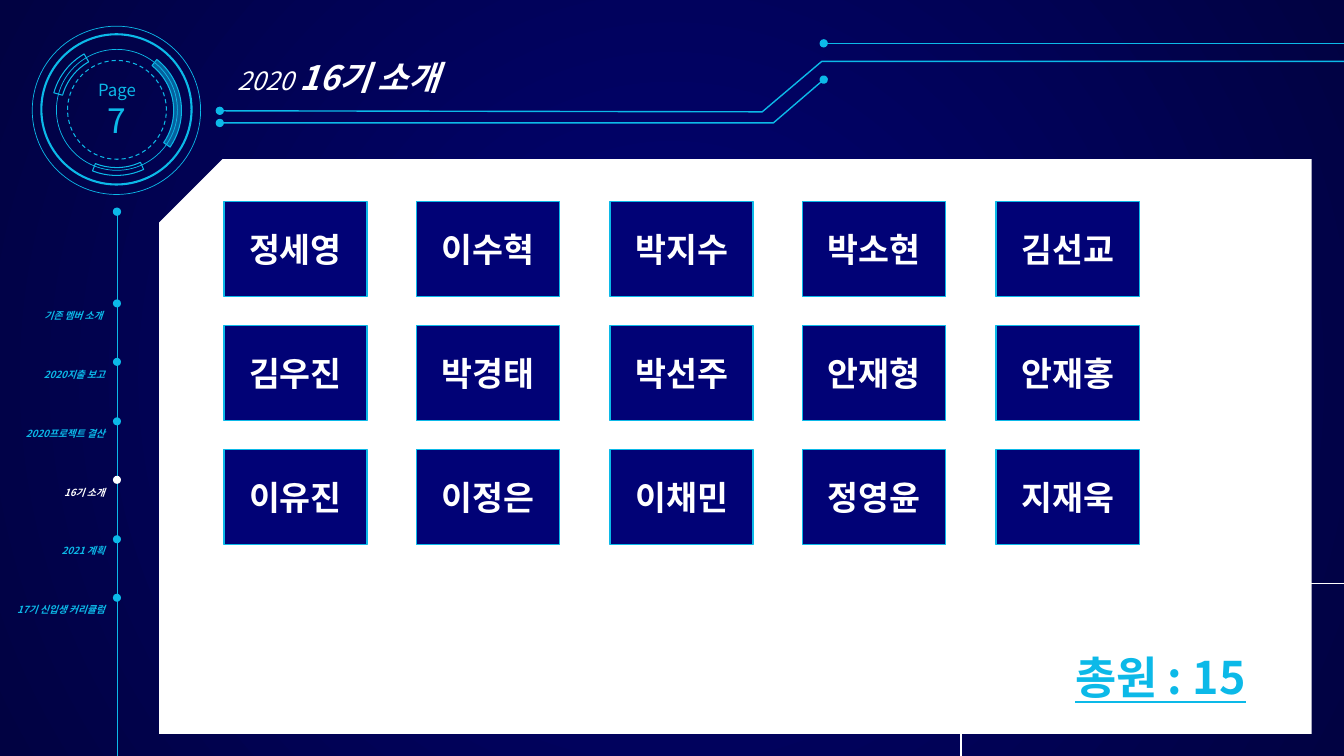
from dataclasses import dataclass
from typing import Any, NamedTuple, Optional

from lxml.etree import SubElement
from pptx import Presentation
from pptx.dml.color import RGBColor
from pptx.enum.dml import MSO_LINE
from pptx.enum.shapes import MSO_CONNECTOR, MSO_SHAPE
from pptx.enum.text import MSO_ANCHOR, MSO_AUTO_SIZE, PP_ALIGN
from pptx.oxml.ns import qn
from pptx.util import Emu, Pt

SCALE = 9144
OVAL, ARC = MSO_SHAPE.OVAL, MSO_SHAPE.BLOCK_ARC
RECT, SNIP = MSO_SHAPE.RECTANGLE, MSO_SHAPE.SNIP_1_RECTANGLE
STRAIGHT, DASH = MSO_CONNECTOR.STRAIGHT, MSO_LINE.DASH
TOP, MIDDLE = MSO_ANCHOR.TOP, MSO_ANCHOR.MIDDLE
FIXED = MSO_AUTO_SIZE.NONE
LEFT, CENTER, RIGHT = PP_ALIGN.LEFT, PP_ALIGN.CENTER, PP_ALIGN.RIGHT


@dataclass(frozen=True)
class Theme:
    face: str = "Noto Sans CJK KR"
    navy: str = "010276"
    night: str = "010242"
    cyan: str = "0CB9E8"
    white: str = "FFFFFF"
    menu: int = 7
    page: int = 12
    year: int = 18
    name: int = 24
    total: int = 32


class Box(NamedTuple):
    left: int
    top: int
    width: int
    height: int


class Part(NamedTuple):
    kind: Any
    box: Box
    line: Optional[float] = None
    fill: Optional[str] = None
    edge: str = Theme.cyan
    adjust: tuple[float, ...] = ()


class Trace(NamedTuple):
    points: list[tuple[int, int]]
    ends: tuple[str, ...]


THEME = Theme()
ARCS = Box(51, 45, 129, 129)
DIAL = [
    Part(OVAL, Box(41, 34, 149, 149), 1.5),
    Part(OVAL, Box(56, 49, 120, 120), 0.5),
    Part(ARC, ARCS, 0.75, THEME.cyan, adjust=(185.07, 20.62, 0.06)),
    Part(ARC, ARCS, 0.75, adjust=(117.42, 144.14, 0.07)),
    Part(ARC, ARCS, 0.75, adjust=(39.14, 66.95, 0.06)),
    Part(OVAL, Box(67, 60, 98, 98), 0.75),
    Part(OVAL, Box(32, 26, 167, 167), 0.5),
]
FILLED, CORE = 2, 5
TRACES = [
    Trace([(218, 122), (767, 122), (817, 79)], ("headEnd", "tailEnd")),
    Trace([(218, 110), (756, 111), (815, 61), (1336, 61)], ("headEnd",)),
]
RAILS = [((817, 43), (1333, 43)), ((116, 210), (116, 750))]
MENU = ["기존 멤버 소개 ", "2020지출 보고", "2020프로젝트 결산",
        "16기 소개", "2021 계획", "17기 신입생 커리큘럼"]
ACTIVE = 3
NAMES = [
    ["정세영", "이수혁", "박지수", "박소현", "김선교"],
    ["김우진", "박경태", "박선주", "안재형", "안재홍"],
    ["이유진", "이정은", "이채민", "정영윤", "지재욱"],
]


def px(count: int) -> Emu:
    return Emu(count * SCALE)


def rgb(code: str) -> RGBColor:
    return RGBColor.from_string(code)


def paint(shape: Any, fill: Optional[str], line: Optional[float], edge: str) -> None:
    shape.shadow.inherit = False
    if fill:
        shape.fill.solid()
        shape.fill.fore_color.rgb = rgb(fill)
    else:
        shape.fill.background()
    if line:
        shape.line.color.rgb = rgb(edge)
        shape.line.width = Pt(line)
    else:
        shape.line.fill.background()


def draw(shapes: Any, part: Part) -> Any:
    shape = shapes.add_shape(part.kind, *map(px, part.box))
    paint(shape, part.fill, part.line, part.edge)
    for index, value in enumerate(part.adjust):
        shape.adjustments[index] = value
    return shape


def form(shapes: Any, points: list[tuple[int, int]], edge: str, close: bool) -> Any:
    pen = shapes.build_freeform(*points[0], scale=SCALE)
    pen.add_line_segments(points[1:], close=close)
    shape = pen.convert_to_shape()
    paint(shape, None, 1, edge)
    return shape


def cap(shape: Any, ends: tuple[str, ...]) -> None:
    line = shape.element.spPr.get_or_add_ln()
    for end in ends:
        SubElement(line, qn(f"a:{end}"), type="oval")


def style(para: Any, size: int, color: str, align: Any, bold: bool = False) -> None:
    para.alignment = align
    font = para.font
    font.size, font.bold, font.name = Pt(size), bold, THEME.face
    font.color.rgb = rgb(color)


def place(shape: Any, box: Box) -> Any:
    shape.left, shape.top, shape.width, shape.height = map(px, box)
    frame = shape.text_frame
    frame.word_wrap, frame.auto_size = True, FIXED
    frame.vertical_anchor = TOP
    return frame


def shade(slide: Any) -> None:
    fill = slide.background.fill
    fill.gradient()
    for stop, code, spot in zip(fill.gradient_stops, (THEME.navy, THEME.night), (0, 1)):
        stop.color.rgb, stop.position = rgb(code), spot
    node = next(slide.element.iter(qn("a:gradFill")))
    node.remove(node.find(qn("a:lin")))
    ring = SubElement(node, qn("a:path"), path="circle")
    SubElement(ring, qn("a:fillToRect"), l="50000", t="50000", r="50000", b="50000")


def head(slide: Any) -> None:
    para = place(slide.shapes.title, Box(226, 31, 545, 71)).paragraphs[0]
    style(para, THEME.year, THEME.white, LEFT)
    para.font.italic, para.line_spacing = True, 1.5
    for text, size, bold in (("2020 ", THEME.year, False), ("16기 소개", THEME.name, True)):
        run = para.add_run()
        run.text = text
        run.font.size, run.font.bold = Pt(size), bold


def menu(slide: Any) -> None:
    frame = place(slide.placeholders[1], Box(-7, 256, 121, 364))
    frame.text = "\n".join(MENU)
    for index, para in enumerate(frame.paragraphs):
        color = THEME.white if index == ACTIVE else THEME.cyan
        style(para, THEME.menu, color, RIGHT, True)
        para.font.italic, para.line_spacing = True, 5.0
        para.space_before = Pt(0)
        props = para._p.pPr
        props.set("marL", "0")
        props.set("indent", "0")
        props.find(qn("a:defRPr")).addprevious(SubElement(props, qn("a:buNone")))
        draw(slide.shapes, Part(OVAL, Box(112, 297 + index * 117 // 2, 8, 8), fill=color))


def dial(slide: Any) -> None:
    group = slide.shapes.add_group_shape().shapes
    rings = [draw(group, part) for part in DIAL]
    tint = next(rings[FILLED].element.spPr.iter(qn("a:srgbClr")))
    SubElement(tint, qn("a:alpha"), val="52000")
    rings[CORE].line.dash_style = DASH
    frame = rings[CORE].text_frame
    frame.text, frame.vertical_anchor = "Page\n7", MIDDLE
    for para, size in zip(frame.paragraphs, (THEME.page, THEME.name)):
        style(para, size, THEME.cyan, CENTER)


def wires(slide: Any) -> None:
    for trace in TRACES:
        cap(form(slide.shapes, trace.points, THEME.cyan, False), trace.ends)
    for start, end in RAILS:
        rail = slide.shapes.add_connector(STRAIGHT, *map(px, start + end))
        rail.line.color.rgb, rail.line.width = rgb(THEME.cyan), Pt(0.5)
        cap(rail, ("headEnd",))
        SubElement(rail.element.spPr, qn("a:effectLst"))


def panel(slide: Any) -> None:
    sheet = draw(slide.shapes, Part(SNIP, Box(158, 158, 1143, 570),
                                    fill=THEME.white, adjust=(0.11,)))
    sheet.element.spPr.xfrm.set("flipH", "1")
    points = [(953, 579), (1349, 579), (1349, 771), (953, 771)]
    frame = form(slide.shapes, points, THEME.white, True).text_frame
    frame.text, frame.vertical_anchor = "총원 : 15", MIDDLE
    para = frame.paragraphs[0]
    style(para, THEME.total, THEME.cyan, CENTER, True)
    para.font.underline, para.line_spacing = True, 0.9


def cards(slide: Any) -> None:
    group = slide.shapes.add_group_shape().shapes
    for row, names in enumerate(NAMES):
        for col, name in enumerate(names):
            box = Box(222 + col * 383 // 2, 200 + row * 123, 142, 94)
            frame = draw(group, Part(RECT, box, 1, THEME.navy)).text_frame
            frame.text, frame.vertical_anchor = name, MIDDLE
            style(frame.paragraphs[0], THEME.name, THEME.white, CENTER, True)


def main() -> None:
    deck = Presentation()
    deck.slide_width, deck.slide_height = px(1333), px(750)
    slide = deck.slides.add_slide(deck.slide_layouts[1])
    for step in (shade, head, dial, wires, panel, menu, cards):
        step(slide)
    for font in slide.element.iter(qn("a:defRPr")):
        SubElement(font, qn("a:ea"), typeface=THEME.face)
    deck.save("out.pptx")


if __name__ == "__main__":
    main()
